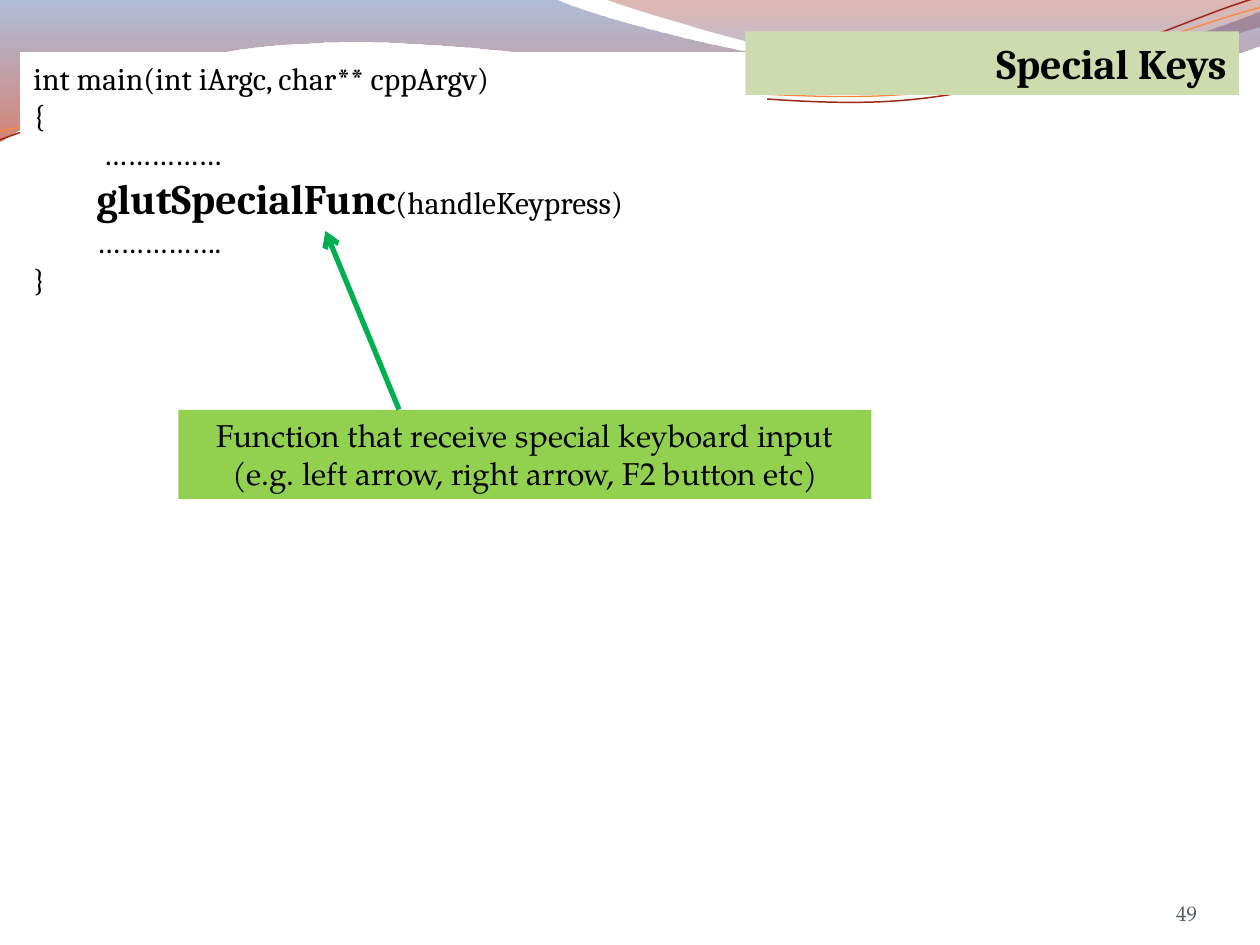
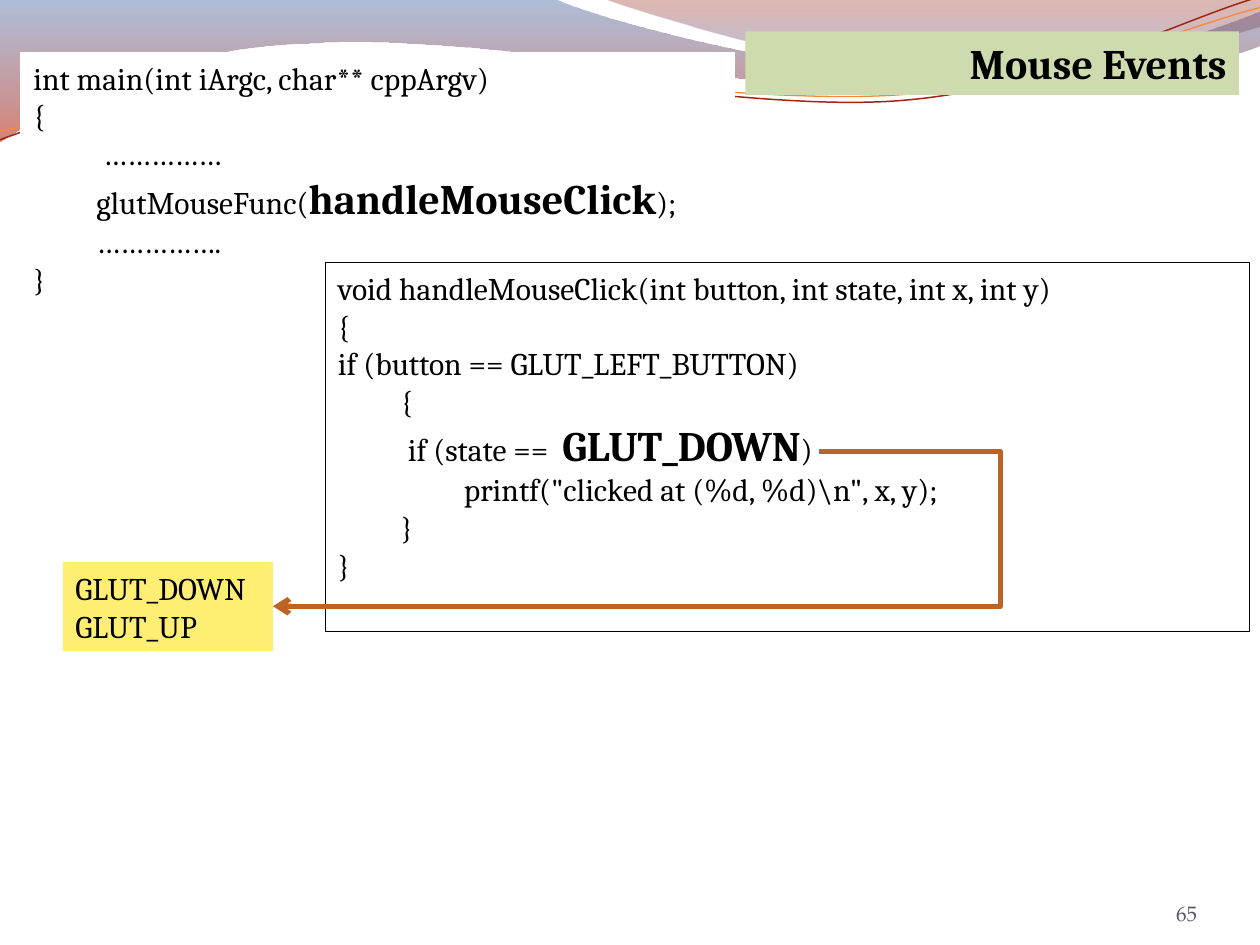
from dataclasses import dataclass

from lxml import etree
from pptx import Presentation
from pptx.dml.color import RGBColor
from pptx.enum.shapes import MSO_CONNECTOR, MSO_SHAPE
from pptx.enum.text import MSO_ANCHOR, MSO_AUTO_SIZE, PP_ALIGN
from pptx.oxml.ns import qn
from pptx.util import Pt

LEFT, CENTER, RIGHT = PP_ALIGN.LEFT, PP_ALIGN.CENTER, PP_ALIGN.RIGHT
TOP, MIDDLE, BOTTOM = MSO_ANCHOR.TOP, MSO_ANCHOR.MIDDLE, MSO_ANCHOR.BOTTOM
STRAIGHT, ELBOW = MSO_CONNECTOR.STRAIGHT, MSO_CONNECTOR.ELBOW


@dataclass(frozen=True)
class Theme:
    black: str = "000000"
    white: str = "FFFFFF"
    number: str = "535B68"
    title_band: str = "CDDBAF"
    note: str = "92D050"
    states: str = "FFEE74"
    note_arrow: str = "00B050"
    state_arrow: str = "BE6326"
    red_line: str = "9E2713"
    orange_line: str = "FE8637"
    # Gradient stops: position, colour, opacity in percent
    wide_wave: tuple = ((0, "4F6EA8", 45), (1, "B61A00", 55))
    right_wave: tuple = ((0, "951500", 30), (0.8, "5681D1", 45))
    code_font: str = "Cambria"
    text_font: str = "TeX Gyre Pagella"
    body_size: int = 18
    strong_size: int = 24
    number_size: int = 12
    indent: int = 36
    hairline: float = 0.75
    arrow_width: int = 3
    thread_tilt: float = 357.3


THEME = Theme()

# Wave outlines in points: a pair is a straight step, three pairs are a curve
WIDE_WAVE = [
    (0, 0), (316.8, -0.7),
    ((342.7, 12.2), (478.1, 45.4), (545.8, 45.4)),
    ((614.2, 45.4), (689.8, 18.7), (720, 6.5)),
    (720.7, 25.9),
    ((707.8, 31.7), (626.4, 54.7), (537.1, 54)),
    ((447.8, 54), (275, 20.2), (185, 24.5)),
    ((92.9, 25.9), (33.1, 59.8), (-0.7, 81.4)),
    (0, 0),
]
RIGHT_WAVE = [
    (344.9, -0.7),
    ((366.5, 7.9), (491, 44.6), (553.7, 46.8)),
    ((616.3, 49.7), (691.9, 23), (720, 15.1)),
    (720, 0), (344.9, -0.7),
]
# Threads are given level and then tilted
RED_LINE = [
    (-1.4, 62.9),
    ((33.8, 51.7), (114.1, 29.4), (199.8, 29.9)),
    ((284.8, 30.3), (425.9, 67.3), (512.5, 64.8)),
    ((599.1, 62.4), (676.5, 25.7), (720.2, 15.6)),
]
ORANGE_LINE = [
    (-1.1, 57.9),
    ((32.9, 53.7), (118.3, 32.5), (204.1, 33)),
    ((290.6, 33.4), (428.9, 63.8), (515.5, 61.4)),
    ((601.4, 59.6), (678.4, 30.1), (721.4, 21.3)),
]


def color(value):
    return RGBColor.from_string(value)


# Text
@dataclass(frozen=True)
class Strong:
    text: str


def line(*spans, level=0):
    return level, spans


def write(box, lines, font=THEME.code_font, size=THEME.body_size, ink=THEME.black,
          bold=False, align=LEFT, anchor=TOP):
    """Fill a box; lines is a string or a list of line() values."""
    frame = box.text_frame
    frame.word_wrap = True
    frame.vertical_anchor = anchor
    if isinstance(lines, str):
        lines = [line(lines)]
    for index, (level, spans) in enumerate(lines):
        para = frame.add_paragraph() if index else frame.paragraphs[0]
        para.alignment = align
        if level:
            para.level = level
            properties = para._p.get_or_add_pPr()
            properties.set("marL", str(Pt(THEME.indent * level)))
            properties.set("indent", "0")
        for span in spans:
            strong = isinstance(span, Strong)
            run = para.add_run()
            run.text = span.text if strong else span
            run.font.name = font
            run.font.size = Pt(THEME.strong_size if strong else size)
            run.font.bold = bold or strong
            run.font.color.rgb = color(ink)


# Boxes and arrows
def add_box(page, place, fill, lines, outline=None, **text_format):
    box = page.shapes.add_shape(MSO_SHAPE.RECTANGLE, *map(Pt, place))
    box.shadow.inherit = False
    box.fill.solid()
    box.fill.fore_color.rgb = color(fill)
    if outline:
        box.line.color.rgb = color(outline)
        box.line.width = Pt(THEME.hairline)
    else:
        box.line.fill.background()
    write(box, lines, **text_format)
    box.text_frame.auto_size = MSO_AUTO_SIZE.SHAPE_TO_FIT_TEXT


def add_arrow(page, kind, start, end, ink, turn=None):
    """Draw an arrow; turn is the x at which an elbow goes vertical."""
    arrow = page.shapes.add_connector(kind, *map(Pt, (*start, *end)))
    arrow.line.color.rgb = color(ink)
    arrow.line.width = Pt(THEME.arrow_width)
    properties = arrow._element.spPr
    etree.SubElement(properties.find(qn("a:ln")), qn("a:tailEnd"), type="arrow")
    etree.SubElement(properties, qn("a:effectLst"))
    if turn is not None:
        bend = (turn - start[0]) / (end[0] - start[0])
        adjustments = next(properties.iter(qn("a:avLst")))
        etree.SubElement(adjustments, qn("a:gd"), name="adj1",
                         fmla=f"val {round(bend * 100000)}")


# Wave decoration
def is_curve(step):
    return len(step) == 3


def add_outline(shapes, outline, close):
    """Lay every point as a straight step, then join triples into curves."""
    start, *steps = outline
    points = [point for step in steps for point in (step if is_curve(step) else [step])]
    builder = shapes.build_freeform(*map(Pt, start))
    builder.add_line_segments([(Pt(x), Pt(y)) for x, y in points], close=close)
    shape = builder.convert_to_shape()
    shape.shadow.inherit = False
    straights = iter(list(shape._element.spPr.iter(qn("a:lnTo"))))
    for step in steps:
        first = next(straights)
        if is_curve(step):
            first.tag = qn("a:cubicBezTo")
            for _ in range(2):
                extra = next(straights)
                first.append(extra[0])
                extra.getparent().remove(extra)
    return shape


def add_wave(page, outline, stops):
    wave = add_outline(page.shapes, outline, close=True)
    wave.line.fill.background()
    wave.fill.gradient()
    wave.fill.gradient_angle = 270
    for target, (position, ink, _) in zip(wave.fill.gradient_stops, stops):
        target.position = position
        target.color.rgb = color(ink)
    inks = wave._element.spPr.iter(qn("a:srgbClr"))
    for element, (_, _, opacity) in zip(inks, stops):
        etree.SubElement(element, qn("a:alpha"), val=str(opacity * 1000))


def add_thread(group, outline, ink, width):
    thread = add_outline(group.shapes, outline, close=False)
    thread.rotation = THEME.thread_tilt
    thread.fill.background()
    thread.line.color.rgb = color(ink)
    thread.line.width = Pt(width)


# Shared page parts
def add_page(deck, number):
    page = deck.slides.add_slide(deck.slide_layouts[6])
    add_wave(page, WIDE_WAVE, THEME.wide_wave)
    add_wave(page, RIGHT_WAVE, THEME.right_wave)
    threads = page.shapes.add_group_shape()
    add_thread(threads, RED_LINE, THEME.red_line, 0.85)
    add_thread(threads, ORANGE_LINE, THEME.orange_line, THEME.hairline)
    box = page.shapes.add_textbox(Pt(624), Pt(500.4), Pt(60), Pt(28.8))
    frame = box.text_frame
    frame.margin_left = frame.margin_right = frame.margin_top = frame.margin_bottom = 0
    write(box, str(number), font=THEME.text_font, size=THEME.number_size,
          ink=THEME.number, align=RIGHT, anchor=BOTTOM)
    return page


def add_title(page, title):
    add_box(page, (426, 18, 282, 36.35), THEME.title_band, title,
            size=THEME.strong_size, bold=True, align=RIGHT)


def add_main_code(page, width, *call):
    lines = [
        line("int main(int iArgc, char** cppArgv)"),
        line("{"),
        line(" ……………", level=1),
        line(*call, level=1),
        line("…………….", level=1),
        line("}"),
    ]
    add_box(page, (12, 30, width, 145.4), THEME.white, lines, outline=THEME.white)


# Slides
def build_special_keys(deck):
    page = add_page(deck, 49)
    add_main_code(page, 426, Strong("glutSpecialFunc"), "(handleKeypress)")
    add_title(page, "Special Keys")
    add_box(page, (102, 234.2, 396, 50.9), THEME.note,
            "Function that receive special keyboard input "
            "(e.g. left arrow, right arrow, F2 button etc)",
            font=THEME.text_font, align=CENTER)
    add_arrow(page, STRAIGHT, (228, 234), (186, 132), THEME.note_arrow)


def build_mouse_events(deck):
    page = add_page(deck, 65)
    add_main_code(page, 407.9, "glutMouseFunc(", Strong("handleMouseClick"), ");")
    handler = [
        line("void handleMouseClick(int button, int state, int x, int y)"),
        line("{"),
        line("if (button == GLUT_LEFT_BUTTON)"),
        line("{", level=1),
        line(" if (state ==  ", Strong("GLUT_DOWN"), ")", level=1),
        line('printf("clicked at (%d, %d)\\n", x, y);', level=2),
        line("}", level=1),
        line("}"),
    ]
    add_box(page, (186, 150, 528, 210.8), THEME.white, handler, outline=THEME.black)
    add_box(page, (36, 321.2, 120, 50.9), THEME.states,
            [line("GLUT_DOWN"), line("GLUT_UP")], anchor=MIDDLE)
    add_arrow(page, ELBOW, (468, 258), (156, 346.4), THEME.state_arrow, turn=571.6)
    add_title(page, "Mouse Events")


def main():
    deck = Presentation()
    deck.slide_width, deck.slide_height = Pt(720), Pt(540)
    build_special_keys(deck)
    build_mouse_events(deck)
    deck.save("out.pptx")


if __name__ == "__main__":
    main()
